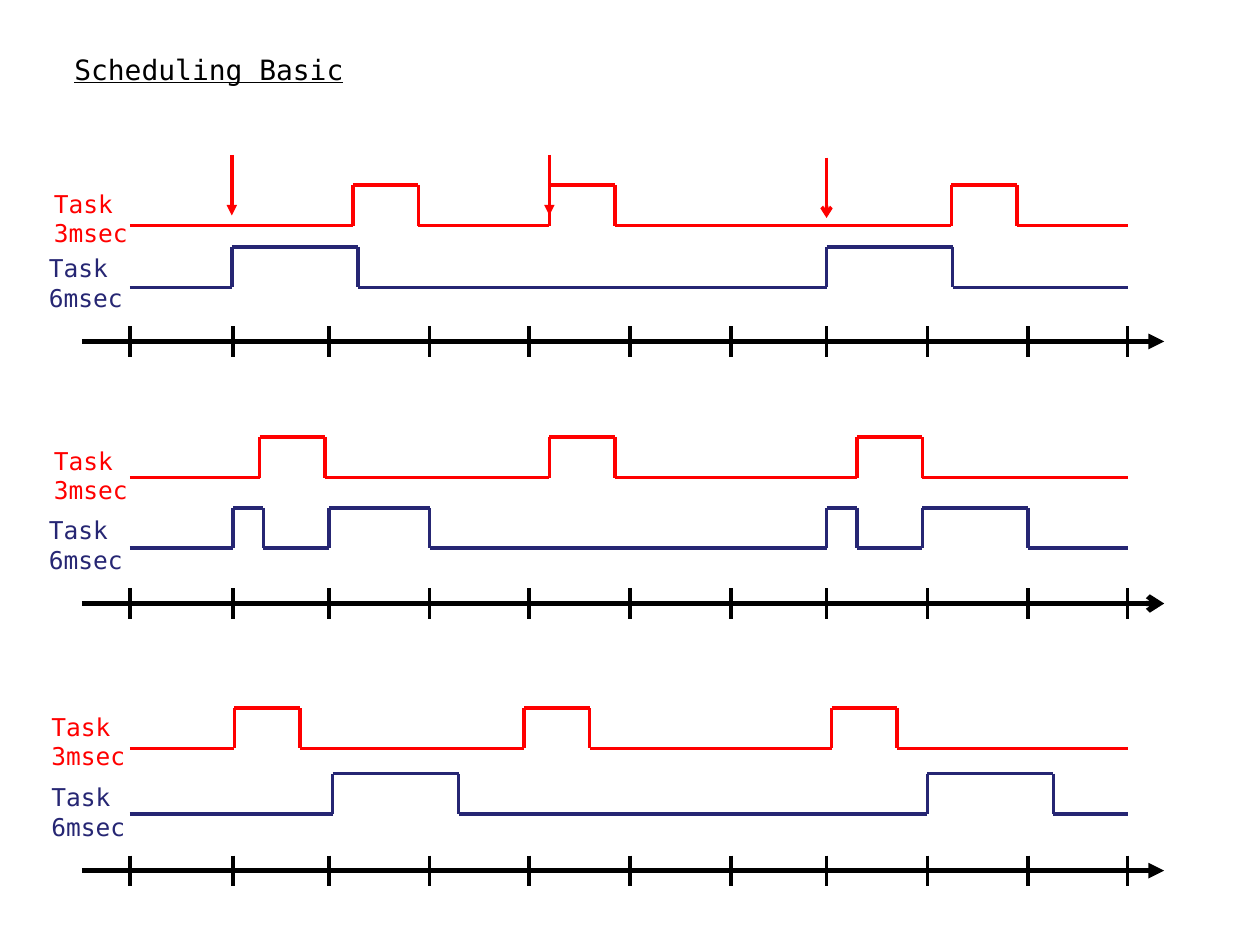
from lxml import etree
from pptx import Presentation
from pptx.dml.color import RGBColor
from pptx.enum.shapes import MSO_CONNECTOR
from pptx.enum.text import MSO_ANCHOR, MSO_AUTO_SIZE, PP_ALIGN
from pptx.oxml.ns import qn
from pptx.util import Emu, Pt

STRAIGHT = MSO_CONNECTOR.STRAIGHT
TOP = MSO_ANCHOR.TOP
LEFT = PP_ALIGN.LEFT
NO_FIT = MSO_AUTO_SIZE.NONE

EMU_PER_PX = 9144
FONT = "DejaVu Sans Mono"
COLOURS = {"axis": "000000", "fast": "FF0000", "slow": "262673"}

AXIS_START, AXIS_END = 65, 924
TICKS = [103, 185, 261, 341, 420, 500, 580, 656, 736, 816, 895]
TICK_REACH = 12
PULSE_HEIGHT = 32
FAST, SLOW = "Task 3msec", "Task 6msec"

TIMELINES = [
    {
        "axis": (271, "triangle"),
        "tasks": [
            (FAST, "fast", (33, 145), 179, [(280, 332), (436, 488), (755, 807)]),
            (SLOW, "slow", (29, 196), 228, [(184, 284), (656, 756)]),
        ],
    },
    {
        "axis": (479, "arrow"),
        "tasks": [
            (FAST, "fast", (33, 349), 379, [(206, 258), (436, 488), (680, 732)]),
            (SLOW, "slow", (29, 404), 435,
             [(185, 209), (261, 341), (656, 680), (732, 816)]),
        ],
    },
    {
        "axis": (691, "triangle"),
        "tasks": [
            (FAST, "fast", (31, 560), 594, [(186, 238), (416, 468), (660, 712)]),
            (SLOW, "slow", (31, 616), 646, [(264, 364), (736, 836)]),
        ],
    },
]
RELEASES = [(184, 123, "triangle"), (436, 123, "triangle"), (656, 125, "arrow")]
RELEASE_LENGTH = 48


def px(length):
    return Emu(length * EMU_PER_PX)


class TimingPage:
    def __init__(self, deck):
        self.page = deck.slides.add_slide(deck.slide_layouts[5])

    def set_words(self, box, words, size, colour, underline=None):
        frame = box.text_frame
        frame.text = words
        frame.word_wrap = True
        frame.auto_size = NO_FIT
        frame.vertical_anchor = TOP
        para = frame.paragraphs[0]
        para.alignment = LEFT
        font = para.runs[0].font
        font.name = FONT
        font.size = Pt(size)
        font.underline = underline
        font.color.rgb = RGBColor.from_string(COLOURS[colour])

    def title(self, words, left, top, width, height):
        box = self.page.shapes.title
        box.left, box.top, box.width, box.height = map(px, (left, top, width, height))
        self.set_words(box, words, 16, "axis", underline=True)

    def label(self, words, left, top, colour):
        box = self.page.shapes.add_textbox(*map(px, (left, top, 125, 55)))
        self.set_words(box, words, 14, colour)

    def line(self, start, end, colour, weight=2, head=None):
        connector = self.page.shapes.add_connector(STRAIGHT, *map(px, start + end))
        connector.line.color.rgb = RGBColor.from_string(COLOURS[colour])
        connector.line.width = Pt(weight)
        if head:
            outline = connector.get_or_add_ln()
            etree.SubElement(outline, qn("a:tailEnd"), type=head)
        etree.SubElement(connector._element.spPr, qn("a:effectLst"))

    def axis(self, level, head):
        self.line((AXIS_START, level), (AXIS_END, level), "axis", 3, head)
        for tick in TICKS:
            self.line((tick, level - TICK_REACH), (tick, level + TICK_REACH), "axis")

    def wave(self, base, pulses, colour):
        crest = base - PULSE_HEIGHT
        corners = [(TICKS[0], base)]
        for rise, fall in pulses:
            corners += [(rise, base), (rise, crest), (fall, crest), (fall, base)]
        corners.append((TICKS[-1], base))
        for start, end in zip(corners, corners[1:]):
            self.line(start, end, colour)


def main():
    deck = Presentation()
    deck.slide_width, deck.slide_height = px(1000), px(750)
    timing = TimingPage(deck)
    timing.title("Scheduling Basic", 49, 37, 417, 37)
    for timeline in TIMELINES:
        timing.axis(*timeline["axis"])
        for words, colour, corner, base, pulses in timeline["tasks"]:
            timing.wave(base, pulses, colour)
            timing.label(words, *corner, colour)
    for time, top, head in RELEASES:
        timing.line((time, top), (time, top + RELEASE_LENGTH), "fast", head=head)
    deck.save("out.pptx")


if __name__ == "__main__":
    main()
